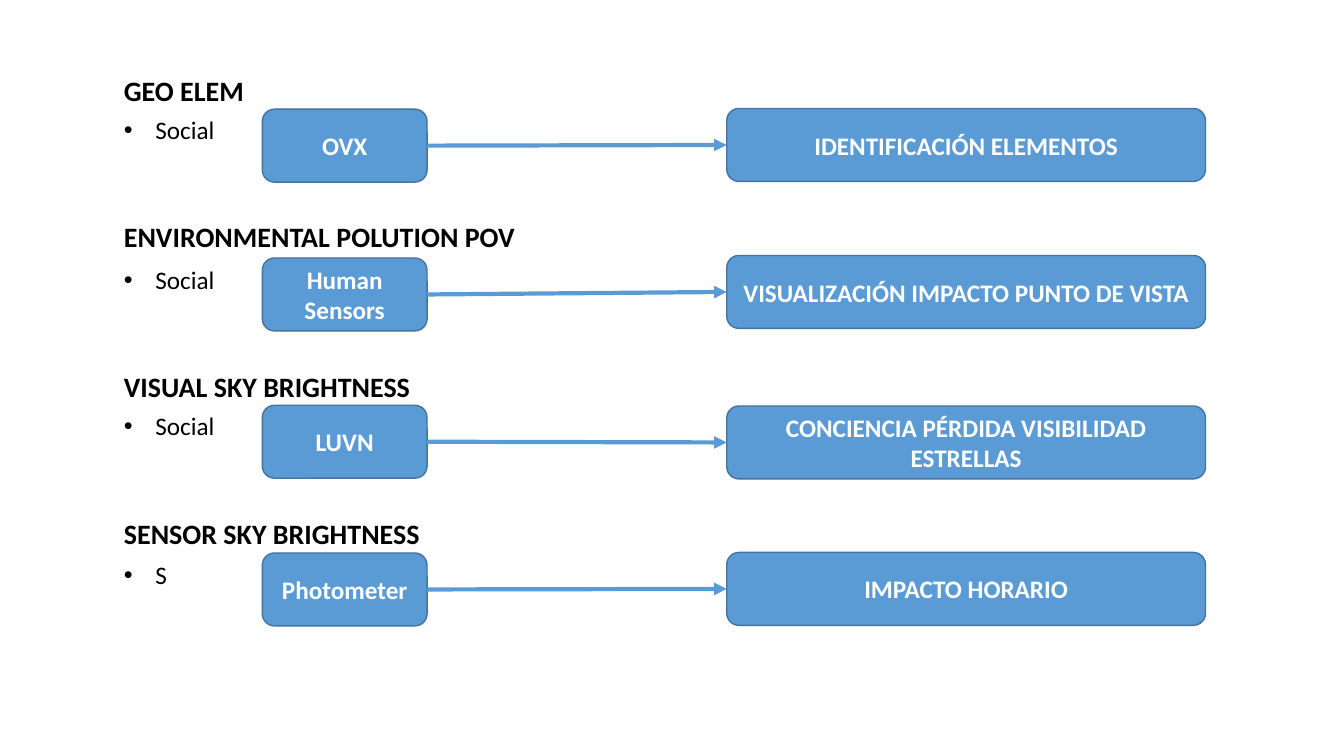
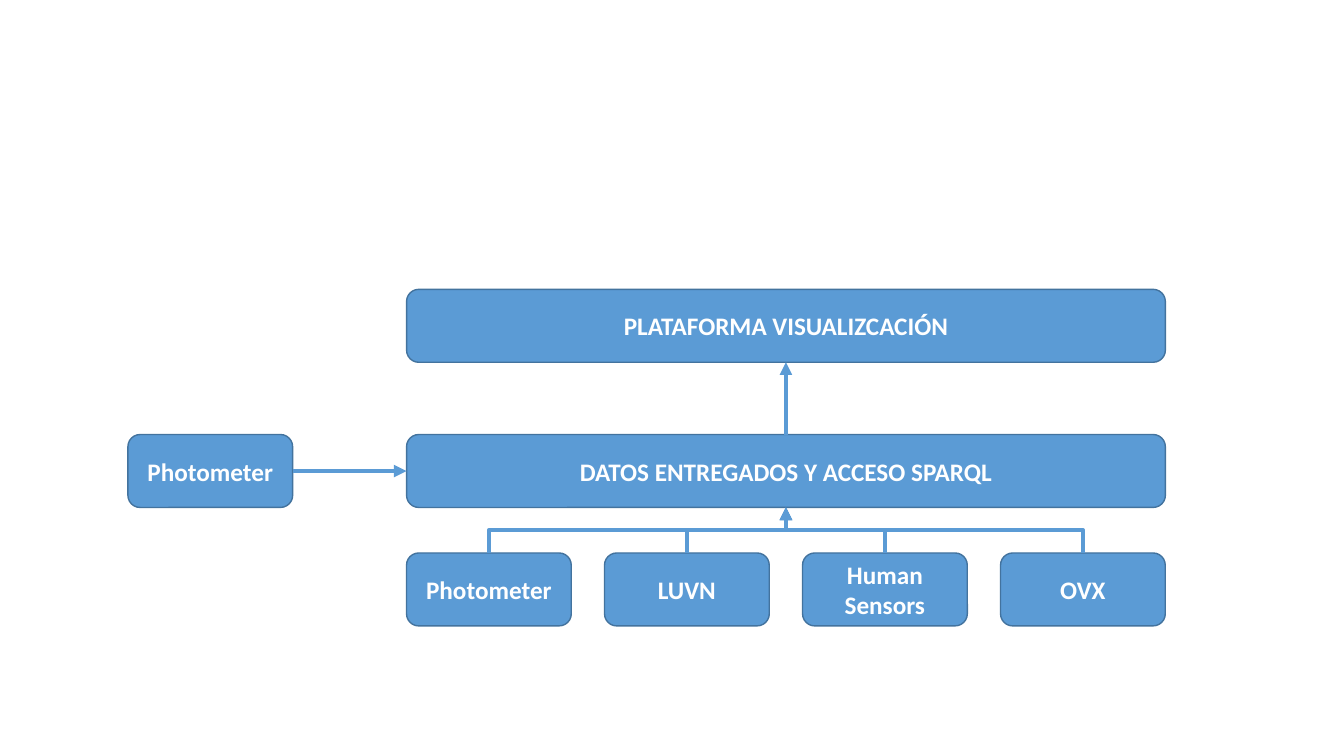
from lxml import etree
from pptx import Presentation
from pptx.dml.color import RGBColor
from pptx.enum.shapes import MSO_CONNECTOR, MSO_SHAPE
from pptx.enum.text import MSO_ANCHOR, MSO_AUTO_SIZE, PP_ALIGN
from pptx.oxml.ns import qn
from pptx.util import Pt

ROUNDED = MSO_SHAPE.ROUNDED_RECTANGLE
STRAIGHT, ELBOW = MSO_CONNECTOR.STRAIGHT, MSO_CONNECTOR.ELBOW
MIDDLE, CENTER = MSO_ANCHOR.MIDDLE, PP_ALIGN.CENTER
GROW = MSO_AUTO_SIZE.SHAPE_TO_FIT_TEXT
TOP, LEFT, BOTTOM, RIGHT = range(4)

FONT = "Calibri"
BLUE, EDGE, WHITE, BLACK = "5B9BD5", "43739E", "FFFFFF", "000000"
SOURCE_WIDTH, BOX_HEIGHT = 117.7, 52.1
MAP_SOURCE, SKY_SOURCE = "OVX", "LUVN"
HUMAN_SOURCE, METER_SOURCE = "Human Sensors", "Photometer"


def color(hex_value):
    return RGBColor.from_string(hex_value)


def write(frame, text, size, hex_value, bold):
    frame.word_wrap = True
    frame.text = text
    font = frame.paragraphs[0].runs[0].font
    font.name, font.size, font.bold = FONT, Pt(size), bold
    font.color.rgb = color(hex_value)


def add_box(slide, text, left, top, width=SOURCE_WIDTH):
    box = slide.shapes.add_shape(ROUNDED, Pt(left), Pt(top), Pt(width), Pt(BOX_HEIGHT))
    box.shadow.inherit = False
    box.fill.solid()
    box.fill.fore_color.rgb = color(BLUE)
    box.line.color.rgb = color(EDGE)
    box.line.width = Pt(1)
    write(box.text_frame, text, 18, WHITE, True)
    box.text_frame.vertical_anchor = MIDDLE
    box.text_frame.paragraphs[0].alignment = CENTER
    return box


def add_label(slide, text, left, top, width, height, size, bold):
    label = slide.shapes.add_textbox(Pt(left), Pt(top), Pt(width), Pt(height))
    write(label.text_frame, text, size, BLACK, bold)
    label.text_frame.auto_size = GROW
    return label


def add_bullet(paragraph, indent):
    properties = paragraph._p.get_or_add_pPr()
    properties.set("marL", str(Pt(indent)))
    properties.set("indent", str(-Pt(indent)))
    etree.SubElement(properties, qn("a:buFont")).set("typeface", "Arial")
    etree.SubElement(properties, qn("a:buChar")).set("char", "•")


def add_arrow(slide, start, start_side, end, end_side, kind=STRAIGHT):
    arrow = slide.shapes.add_connector(kind, 0, 0, 0, 0)
    arrow.begin_connect(start, start_side)
    arrow.end_connect(end, end_side)
    arrow.line.color.rgb = color(BLUE)
    arrow.line.width = Pt(3)
    line = arrow.element.spPr.find(qn("a:ln"))
    etree.SubElement(line, qn("a:tailEnd")).set("type", "triangle")
    etree.SubElement(arrow.element.spPr, qn("a:effectLst"))
    return arrow


def add_upward_elbow(slide, start, end):
    arrow = add_arrow(slide, start, TOP, end, BOTTOM, ELBOW)
    run, rise = arrow.width, arrow.height
    center_x, center_y = arrow.left + run // 2, arrow.top + rise // 2
    goes_right = arrow.begin_x < arrow.end_x
    arrow.left, arrow.top = center_x - rise // 2, center_y - run // 2
    arrow.width, arrow.height = rise, run
    frame = arrow.element.spPr.find(qn("a:xfrm"))
    frame.set("rot", str((90 if goes_right else 270) * 60000))
    frame.set("flipH", "1" if goes_right else "0")
    frame.set("flipV", "1")


def add_flow_row(slide, left, heading, note, source, result):
    heading_text, heading_top, heading_width = heading
    note_text, note_top = note
    source_text, source_top = source
    result_text, result_top = result
    source_box = add_box(slide, source_text, left + 106, source_top)
    note_label = add_label(slide, note_text, left, note_top, 106, 51, 18, False)
    add_bullet(note_label.text_frame.paragraphs[0], 22.5)
    add_label(slide, heading_text, left, heading_top, heading_width, 31.5, 20, True)
    result_box = add_box(slide, result_text, left + 437.7, result_top, 342)
    add_arrow(slide, source_box, RIGHT, result_box, LEFT)


def build_flows(slide, left, rows):
    for row in rows:
        add_flow_row(slide, left, *row)


def build_platform(slide, left, top, width, sources):
    data_top, sources_top = top + 103.7, top + 188.3
    pitch = (width - SOURCE_WIDTH) / (len(sources) - 1)
    data = add_box(slide, "DATOS ENTREGADOS Y ACCESO SPARQL", left, data_top, width)
    platform = add_box(slide, "PLATAFORMA VISUALIZCACIÓN", left, top, width)
    side_source = add_box(slide, METER_SOURCE, left - 199, data_top)
    for index, text in enumerate(sources):
        source = add_box(slide, text, left + index * pitch, sources_top)
        add_upward_elbow(slide, source, data)
    add_arrow(slide, side_source, RIGHT, data, LEFT)
    add_arrow(slide, data, TOP, platform, BOTTOM)


FLOWS = [
    (("GEO ELEM", 49, 145), ("Social", 78), (MAP_SOURCE, 78),
     ("IDENTIFICACIÓN ELEMENTOS", 77.5)),
    (("ENVIRONMENTAL POLUTION POV", 153, 429), ("Social", 185.5), (HUMAN_SOURCE, 184.3),
     ("VISUALIZACIÓN IMPACTO PUNTO DE VISTA", 182.5)),
    (("VISUAL SKY BRIGHTNESS", 260.5, 335.5), ("Social", 289.5), (SKY_SOURCE, 289.5),
     ("CONCIENCIA PÉRDIDA VISIBILIDAD ESTRELLAS", 290)),
    (("SENSOR SKY BRIGHTNESS", 365.5, 335.5), ("S", 396), (METER_SOURCE, 395),
     ("IMPACTO HORARIO", 394.6)),
]

presentation = Presentation()
presentation.slide_width, presentation.slide_height = Pt(960), Pt(540)
blank = presentation.slide_layouts[6]
build_flows(presentation.slides.add_slide(blank), 81.4, FLOWS)
build_platform(presentation.slides.add_slide(blank), 290.4, 206.7, 542,
               [METER_SOURCE, SKY_SOURCE, HUMAN_SOURCE, MAP_SOURCE])
presentation.save("out.pptx")
